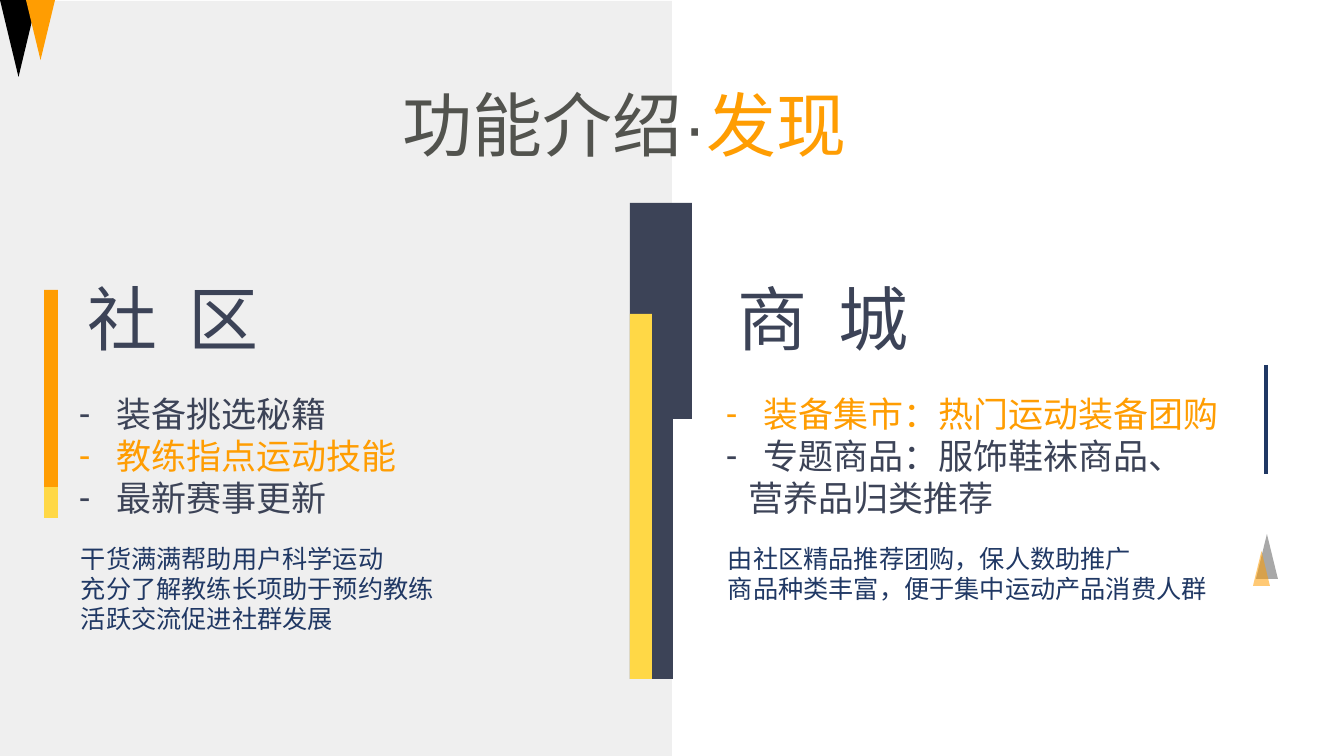
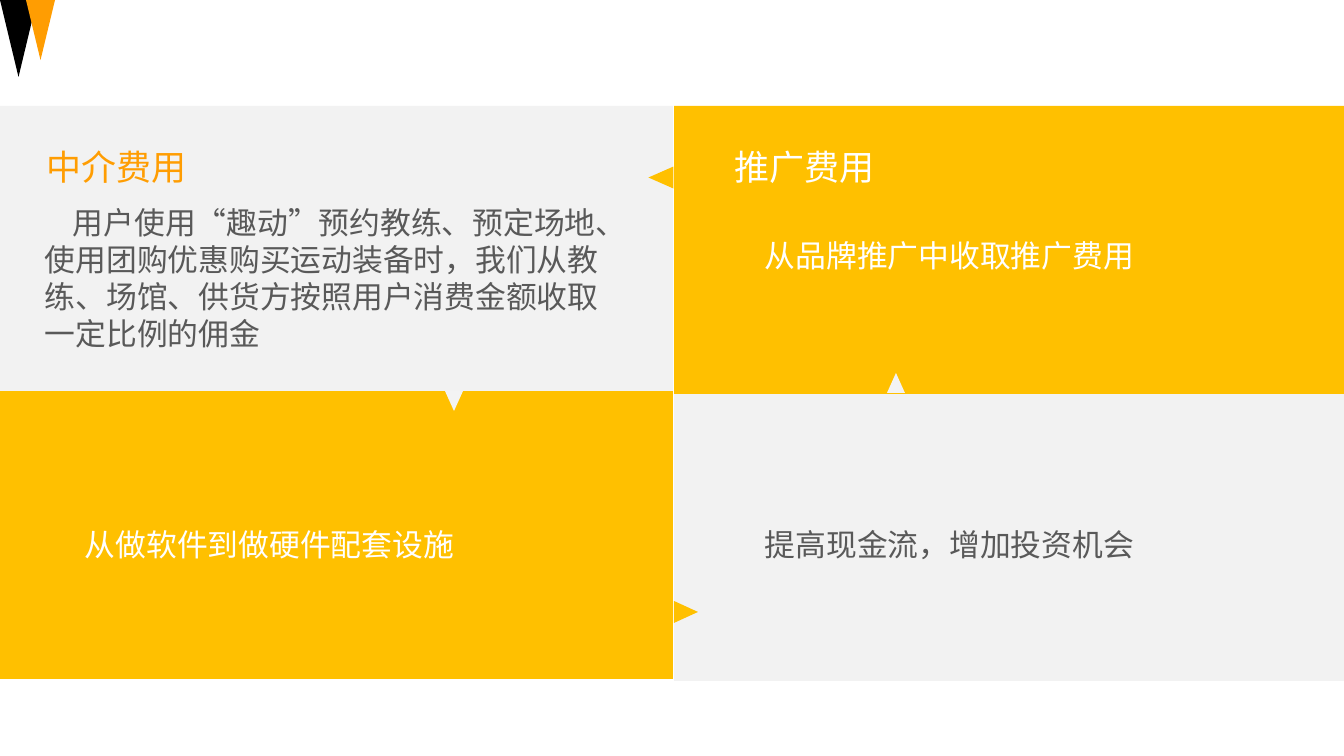
from lxml import etree
from pptx import Presentation
from pptx.dml.color import RGBColor
from pptx.enum.lang import MSO_LANGUAGE_ID
from pptx.enum.shapes import MSO_CONNECTOR, MSO_SHAPE
from pptx.oxml.ns import qn
from pptx.util import Emu, Pt

RECT = MSO_SHAPE.RECTANGLE
TRIANGLE = MSO_SHAPE.ISOSCELES_TRIANGLE
STRAIGHT = MSO_CONNECTOR.STRAIGHT
CHINESE = MSO_LANGUAGE_ID.SIMPLIFIED_CHINESE

PX = 914400 / 100.8
SLIDE_W, SLIDE_H = 1344, 756
FONT = "Arial"
TITLE_SIZE, LIST_SIZE, BODY_SIZE, NOTE_SIZE = 50, 25, 22, 18
BLACK, WHITE, ORANGE, YELLOW = "000000", "FFFFFF", "FF9D02", "FFD846"
SLATE, NAVY, TITLE_GREY, BODY_GREY = "3C4357", "203864", "52534E", "595959"
AMBER, PALE, POINTER_PALE, PANEL = "FFC000", "F2F2F2", "F3F3F3", "D9D9D9"


def px(length):
    """Turn px into EMU."""
    return Emu(round(length * PX))


def rgb(value):
    """Turn a hex string into a colour."""
    return RGBColor.from_string(value)


def paint(shape, color, opacity=100):
    """Give a shape a flat fill without line or shadow."""
    shape.shadow.inherit = False
    shape.line.fill.background()
    shape.fill.solid()
    shape.fill.fore_color.rgb = rgb(color)
    if opacity < 100:
        fill_color = shape.fill._xPr.find(qn("a:solidFill"))[0]
        etree.SubElement(fill_color, qn("a:alpha"), val=str(opacity * 1000))


def block(slide, kind, box, color, opacity=100, rotation=0):
    """Add a flat preset shape."""
    shape = slide.shapes.add_shape(kind, *map(px, box))
    paint(shape, color, opacity)
    shape.rotation = rotation


def style_run(run, size, color):
    """Set the font of one run."""
    run.font.name = FONT
    run.font.size = Pt(size)
    run.font.language_id = CHINESE
    run.font.color.rgb = rgb(color)


def indent(paragraph, left=0, first=0, bullet=None):
    """Set the indents and an optional bullet of a paragraph."""
    properties = paragraph._p.get_or_add_pPr()
    properties.set("marL", str(px(left)))
    properties.set("indent", str(px(first)))
    if bullet:
        etree.SubElement(properties, qn("a:buFont"), typeface=FONT)
        etree.SubElement(properties, qn("a:buChar"), char=bullet)


def write(slide, box, lines, size, color):
    """Add a wrapping text box and return its paragraphs."""
    frame = slide.shapes.add_textbox(*map(px, box)).text_frame
    frame.word_wrap = True
    frame.text = "\n".join(lines)
    for paragraph in frame.paragraphs:
        style_run(paragraph.runs[0], size, color)
    return frame.paragraphs


def corner_mark(slide):
    """Draw the two hanging triangles in the top left corner."""
    block(slide, TRIANGLE, (0, 0, 37, 77), BLACK, rotation=180)
    block(slide, TRIANGLE, (26, 0, 29, 60), ORANGE, rotation=180)


def slide_title(slide, box, topic, section):
    """Write the title with its section highlighted."""
    paragraph = write(slide, box, [topic], TITLE_SIZE, TITLE_GREY)[0]
    section_run = paragraph.add_run()
    section_run.text = section
    style_run(section_run, TITLE_SIZE, ORANGE)


def feature_column(slide, box, heading_gap, heading, items, notes):
    """Write a heading, a dashed list and notes; items are (text, colour, bulleted)."""
    x, y, width = box
    write(slide, (x + heading_gap, y, 203, 95), [heading], TITLE_SIZE, SLATE)
    lines = [text for text, _, _ in items]
    paragraphs = write(slide, (x, y + 117, width, 137), lines, LIST_SIZE, SLATE)
    for paragraph, (_, color, bulleted) in zip(paragraphs, items):
        if bulleted:
            indent(paragraph, 38, -38, "-")
        else:
            indent(paragraph, 23)
        paragraph.runs[0].font.color.rgb = rgb(color)
    write(slide, (x + 2, y + 267, width, 102), notes, NOTE_SIZE, NAVY)


def divider(slide, x, y):
    """Draw the stepped dark bar with its yellow strip."""
    outline = [(62, 0), (62, 216), (43, 216), (43, 476), (0, 476)]
    builder = slide.shapes.build_freeform(x, y, scale=PX)
    builder.add_line_segments([(x + dx, y + dy) for dx, dy in outline])
    paint(builder.convert_to_shape(), SLATE)
    block(slide, RECT, (x, y + 111, 22, 365), YELLOW)


def side_accents(slide, x, y):
    """Draw the thin rule and the translucent triangles at the right edge."""
    rule = slide.shapes.add_connector(STRAIGHT, px(x), px(y), px(x), px(y + 109))
    rule.line.color.rgb = rgb(NAVY)
    rule.line.width = Pt(2.25)
    etree.SubElement(rule._element.spPr, qn("a:effectLst"))
    block(slide, TRIANGLE, (x - 10, y + 169, 22, 45), BLACK, 34)
    block(slide, TRIANGLE, (x - 13, y + 186, 17, 35), ORANGE, 55)


def discover_slide(slide):
    """Build the slide comparing community and shop."""
    block(slide, RECT, (0, 1, 672, 755), PANEL, 42)
    corner_mark(slide)
    slide_title(slide, (393, 77, 596, 95), "功能介绍·", "发现")
    block(slide, RECT, (44, 290, 14, 228), YELLOW)
    block(slide, RECT, (44, 290, 14, 197), ORANGE)
    side_accents(slide, 1266, 365)
    divider(slide, 630, 203)
    feature_column(
        slide, (69, 271, 530), 9, "社\t区",
        [("装备挑选秘籍", SLATE, True),
         ("教练指点运动技能", ORANGE, True),
         ("最新赛事更新", SLATE, True)],
        ["干货满满帮助用户科学运动", "充分了解教练长项助于预约教练", "活跃交流促进社群发展"])
    feature_column(
        slide, (716, 271, 530), 12, "商\t城",
        [("装备集市：热门运动装备团购", ORANGE, True),
         ("专题商品：服饰鞋袜商品、", SLATE, True),
         ("营养品归类推荐", SLATE, False)],
        ["由社区精品推荐团购，保人数助推广", "商品种类丰富，便于集中运动产品消费人群"])


def revenue_card(slide, box, fill, body, body_box, body_color):
    """Draw a quadrant with its body text and return the body paragraph."""
    x, y = box[:2]
    dx, dy, width, height = body_box
    block(slide, RECT, box, fill)
    return write(slide, (x + dx, y + dy, width, height), [body], BODY_SIZE, body_color)[0]


def card_heading(slide, x, y, heading, color):
    """Write the heading of a quadrant."""
    write(slide, (x, y, 184, 52), [heading], LIST_SIZE, color)


def revenue_slide(slide):
    """Build the slide with four income quadrants."""
    corner_mark(slide)
    revenue_card(slide, (674, 393, 670, 288), PALE,
                 "提高现金流，增加投资机会", (81, 128, 424, 47), BODY_GREY)
    commission = revenue_card(
        slide, (0, 106, 673, 288), PALE,
        "用户使用“趣动”预约教练、预定场地、使用团购优惠购买运动装备时，"
        "我们从教练、场馆、供货方按照用户消费金额收取一定比例的佣金",
        (35, 93, 575, 159), BODY_GREY)
    indent(commission, first=28)
    revenue_card(slide, (674, 106, 670, 288), AMBER,
                 "从品牌推广中收取推广费用", (81, 126, 424, 47), WHITE)
    revenue_card(slide, (0, 391, 673, 288), AMBER,
                 "从做软件到做硬件配套设施", (75, 130, 424, 47), WHITE)
    card_heading(slide, 37, 141, "中介费用", ORANGE)
    card_heading(slide, 725, 141, "推广费用", WHITE)
    pointers = [
        ((675, 600, 22, 24), AMBER, 90),
        ((650, 165, 22, 25), AMBER, 270),
        ((445, 391, 18, 20), POINTER_PALE, 180),
        ((887, 373, 18, 20), POINTER_PALE, 0),
    ]
    for box, color, rotation in pointers:
        block(slide, TRIANGLE, box, color, rotation=rotation)


def main():
    """Build and save the presentation."""
    deck = Presentation()
    deck.slide_width, deck.slide_height = px(SLIDE_W), px(SLIDE_H)
    blank = deck.slide_layouts[6]
    for build in (discover_slide, revenue_slide):
        build(deck.slides.add_slide(blank))
    deck.save("out.pptx")


if __name__ == "__main__":
    main()
